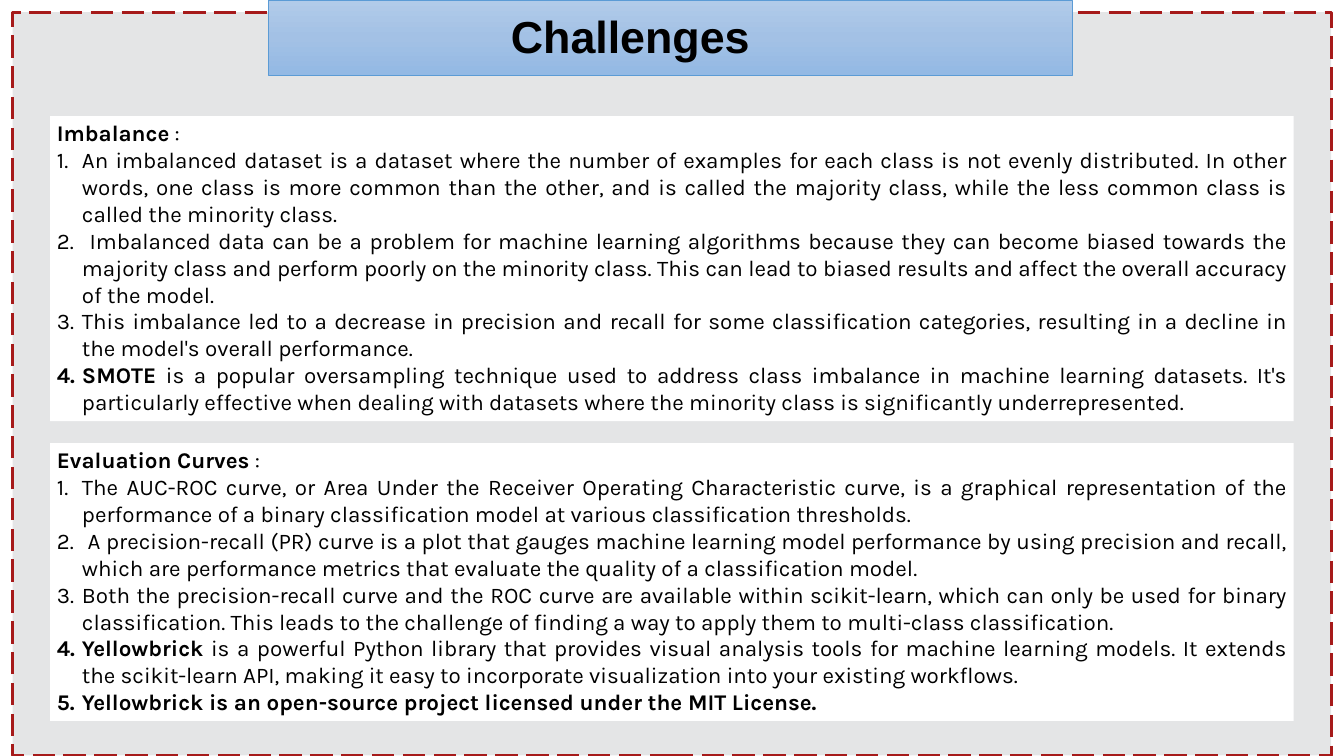
import copy
from dataclasses import dataclass

import pptx
import pptx.dml.color
import pptx.enum.dml
import pptx.enum.shapes
import pptx.enum.text
import pptx.oxml.ns
import pptx.util
from lxml import etree
from pptx.util import Cm, Pt

ALIGN = pptx.enum.text.PP_ALIGN
ANCHOR = pptx.enum.text.MSO_ANCHOR
DASH = pptx.enum.dml.MSO_LINE
qn = pptx.oxml.ns.qn


@dataclass(frozen=True)
class Theme:
    text: str = "000000"
    panel: str = "FFFFFF"
    backdrop: str = "E4E5E6"
    frame: str = "A61A1A"
    banner: tuple = ("B1CBE9", "A3C1E5", "93B9E4")
    banner_line: str = "5B9BD5"
    title_font: str = "Arial"
    body_font: str = "Karla"
    title_size: int = 48
    body_size: int = 24


THEME = Theme()

# Each item is a (bold, regular) pair of texts.
IMBALANCE = ("Imbalance", [
    ("", "An imbalanced dataset is a dataset where the number of examples for each class is not "
         "evenly distributed. In other words, one class is more common than the other, and is "
         "called the majority class, while the less common class is called the minority class."),
    ("", " Imbalanced data can be a problem for machine learning algorithms because they can "
         "become biased towards the majority class and perform poorly on the minority class. This "
         "can lead to biased results and affect the overall accuracy of the model."),
    ("", "This imbalance led to a decrease in precision and recall for some classification "
         "categories, resulting in a decline in the model's overall performance."),
    ("SMOTE", " is a popular oversampling technique used to address class imbalance in machine "
              "learning datasets. It's particularly effective when dealing with datasets where "
              "the minority class is significantly underrepresented."),
])
CURVES = ("Evaluation Curves", [
    ("", "The AUC-ROC curve, or Area Under the Receiver Operating Characteristic curve, is a "
         "graphical representation of the performance of a binary classification model at "
         "various classification thresholds."),
    ("", " A precision-recall (PR) curve is a plot that gauges machine learning model performance "
         "by using precision and recall, which are performance metrics that evaluate the quality "
         "of a classification model."),
    ("", "Both the precision-recall curve and the ROC curve are available within scikit-learn, "
         "which can only be used for binary classification. This leads to the challenge of "
         "finding a way to apply them to multi-class classification."),
    ("Yellowbrick", " is a powerful Python library that provides visual analysis tools for "
                    "machine learning models. It extends the scikit-learn API, making it easy to "
                    "incorporate visualization into your existing workflows."),
    ("Yellowbrick is an open-source project licensed under the MIT License.", ""),
])


def rgb(value):
    return pptx.dml.color.RGBColor.from_string(value)


def set_attrs(obj, **values):
    for name, value in values.items():
        setattr(obj, name, value)


def add_box(s, box, fill=None):
    """Add a plain rectangle; box is left, top, width, height in cm."""
    sp = s.shapes.add_shape(pptx.enum.shapes.MSO_SHAPE.RECTANGLE, *map(Cm, box))
    sp.shadow.inherit = False
    sp.line.fill.background()
    if fill:
        sp.fill.solid()
        sp.fill.fore_color.rgb = rgb(fill)
    return sp


def add_run(p, text, font, size, bold):
    r = p.add_run()
    r.text = text
    set_attrs(r.font, name=font, size=Pt(size), bold=bold)
    r.font.color.rgb = rgb(THEME.text)


def outline(sp, color, width):
    sp.line.color.rgb = rgb(color)
    sp.line.width = Pt(width)


def add_frame(s, box):
    sp = add_box(s, box, THEME.backdrop)
    outline(sp, THEME.frame, 3)
    sp.line.dash_style = DASH.LONG_DASH


def add_banner(s, box, title):
    sp = add_box(s, box)
    outline(sp, THEME.banner_line, 0.5)
    sp.fill.gradient()
    sp.fill.gradient_angle = 270
    stops = sp._element.spPr.find(".//" + qn("a:gsLst"))
    stops.insert(1, copy.deepcopy(stops[0]))
    for i, (stop, color) in enumerate(zip(sp.fill.gradient_stops, THEME.banner)):
        stop.position = i / 2
        stop.color.rgb = rgb(color)
    tf = sp.text_frame
    set_attrs(tf, word_wrap=True, vertical_anchor=ANCHOR.TOP,
              margin_left=Cm(9.17), margin_top=Cm(0.3), margin_bottom=Cm(0))
    p = tf.paragraphs[0]
    p.alignment = ALIGN.LEFT
    add_run(p, title, THEME.title_font, THEME.title_size, True)


def number(p, indent):
    """Give a paragraph an automatic number with a hanging indent."""
    pPr = p._p.get_or_add_pPr()
    pPr.set("marL", str(indent))
    pPr.set("indent", str(-indent))
    etree.SubElement(pPr, qn("a:buFont"), typeface="+mj-lt")
    etree.SubElement(pPr, qn("a:buAutoNum"), type="arabicPeriod")


def add_panel(s, box, heading, items):
    """Add a panel with a bold heading above a numbered list."""
    tf = add_box(s, box, THEME.panel).text_frame
    set_attrs(tf, word_wrap=True, vertical_anchor=ANCHOR.TOP,
              auto_size=pptx.enum.text.MSO_AUTO_SIZE.SHAPE_TO_FIT_TEXT)
    for i, texts in enumerate([(heading, " :"), *items]):
        p = tf.paragraphs[0] if i == 0 else tf.add_paragraph()
        p.alignment = ALIGN.JUSTIFY
        if i:
            number(p, Cm(0.95))
        for text, bold in zip(texts, (True, False)):
            if text:
                add_run(p, text, THEME.body_font, THEME.body_size, bold)


def main():
    prs = pptx.Presentation()
    set_attrs(prs, slide_width=Cm(50.8), slide_height=Cm(28.58))
    s = prs.slides.add_slide(prs.slide_layouts[6])
    add_frame(s, (0.48, 0.46, 49.84, 28.1))
    add_banner(s, (10.14, 0.02, 30.4, 2.82), "Challenges")
    left, width = 1.9, 47
    add_panel(s, (left, 4.39, width, 11.53), *IMBALANCE)
    add_panel(s, (left, 16.75, width, 10.5), *CURVES)
    prs.save("out.pptx")


if __name__ == "__main__":
    main()
